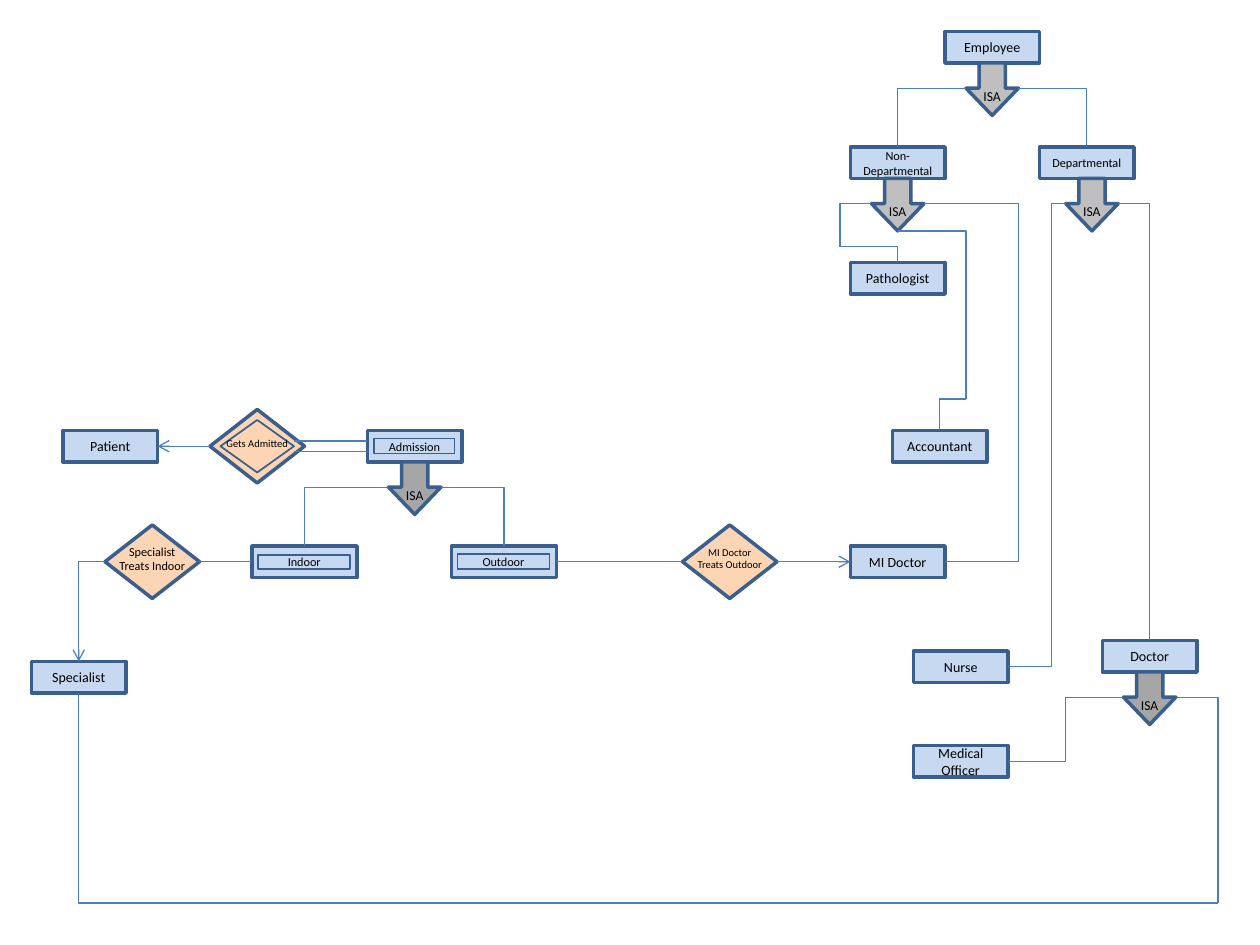
from dataclasses import dataclass

from lxml import etree
from pptx import Presentation
from pptx.dml.color import RGBColor
from pptx.enum.shapes import MSO_CONNECTOR, MSO_SHAPE
from pptx.enum.text import MSO_ANCHOR, PP_ALIGN
from pptx.oxml.ns import qn
from pptx.util import Pt

RECT, DIAMOND, ARROW = MSO_SHAPE.RECTANGLE, MSO_SHAPE.DIAMOND, MSO_SHAPE.DOWN_ARROW
STRAIGHT, ELBOW = MSO_CONNECTOR.STRAIGHT, MSO_CONNECTOR.ELBOW
CENTER = PP_ALIGN.CENTER
TOP, MIDDLE = MSO_ANCHOR.TOP, MSO_ANCHOR.MIDDLE

BLUE, PEACH, LIGHT, DARK = "C6D9F1", "FCD5B5", "BFBFBF", "A6A6A6"
OUTLINE, LINK = "3A5F8C", "4B7EBC"
BOX_W, BOX_H, DIAMOND_H, ISA = 54, 18, 42, 30
SHOULDER = 14.4
TIGHT = (0, 3.6, 0, 3.6)
PADDED = (7.2, 3.6, 7.2, 7.2)


@dataclass
class Node:
    text: str
    x: float
    y: float
    w: float = BOX_W
    h: float = BOX_H
    kind: int = RECT
    fill: str = BLUE
    weight: float = 2
    size: float = 8
    inset: tuple = (7.2, 3.6, 7.2, 3.6)
    wrap: bool = True
    anchor: int = MIDDLE


@dataclass
class Link:
    x1: float
    y1: float
    x2: float
    y2: float
    kind: int = ELBOW
    head: bool = False
    bend: float | None = None


def relation(text: str, x: float, y: float, size: float) -> Node:
    return Node(text, x, y, h=DIAMOND_H, kind=DIAMOND, fill=PEACH, size=size, inset=PADDED, wrap=False)


def isa(x: float, y: float, fill: str) -> Node:
    return Node("ISA", x, y, ISA, ISA, ARROW, fill, size=7.8,
                inset=(0, 14, 0, 0), wrap=False, anchor=TOP)


def rgb(value: str) -> RGBColor:
    return RGBColor.from_string(value)


def write(sp, text: str, *, size: float, inset: tuple, wrap: bool, anchor: int) -> None:
    tf = sp.text_frame
    tf.word_wrap = wrap
    tf.vertical_anchor = anchor
    tf.margin_left, tf.margin_top, tf.margin_right, tf.margin_bottom = map(Pt, inset)
    for i, line in enumerate(text.split("\n")):
        p = tf.add_paragraph() if i else tf.paragraphs[0]
        p.alignment = CENTER
        r = p.add_run()
        r.text = line
        r.font.name = "Calibri"
        r.font.size = Pt(size)
        r.font.color.rgb = rgb("000000")


def draw_node(slide, n: Node):
    sp = slide.shapes.add_shape(n.kind, Pt(n.x), Pt(n.y), Pt(n.w), Pt(n.h))
    sp.shadow.inherit = False
    sp.fill.solid()
    sp.fill.fore_color.rgb = rgb(n.fill)
    sp.line.color.rgb = rgb(OUTLINE)
    sp.line.width = Pt(n.weight)
    if n.kind == ARROW:
        sp.adjustments[1] = (ISA - SHOULDER) / ISA
    if n.text:
        write(sp, n.text, size=n.size, inset=n.inset, wrap=n.wrap, anchor=n.anchor)
    return sp


def draw_link(slide, k: Link):
    cx = slide.shapes.add_connector(k.kind, Pt(k.x1), Pt(k.y1), Pt(k.x2), Pt(k.y2))
    cx.line.color.rgb = rgb(LINK)
    cx.line.width = Pt(0.75)
    if k.head:
        etree.SubElement(cx.line._get_or_add_ln(), qn("a:tailEnd"), type="arrow")
    pr = cx._element.spPr
    etree.SubElement(pr, qn("a:effectLst"))
    if k.kind == ELBOW:
        geom = pr.find(qn("a:prstGeom"))
        if k.bend is None:
            geom.set("prst", "bentConnector2")
        else:
            guides = geom.find(qn("a:avLst"))
            etree.SubElement(guides, qn("a:gd"), name="adj1", fmla=f"val {round(k.bend * 100000)}")
    return cx


NODES = {
    "patient": Node("Patient", 36, 246),
    "admission": Node("", 210, 246),
    "admits": Node("", 120, 234, h=DIAMOND_H, kind=DIAMOND, fill=PEACH),
    "indoor": Node("", 144, 312, 60),
    "outdoor": Node("", 258, 312, 60),
    "treats_indoor": relation("Specialist\nTreats Indoor", 60, 300, 7),
    "specialist": Node("Specialist", 18, 378),
    "officer": Node("Medical Officer", 522, 426),
    "nurse": Node("Nurse", 522, 372),
    "treats_outdoor": relation("MI Doctor\nTreats Outdoor", 390, 300, 6),
    "mi_doctor": Node("MI Doctor", 486, 312),
    "accountant": Node("Accountant", 510, 246),
    "pathologist": Node("Pathologist", 486, 150),
    "employee": Node("Employee", 540, 18),
    "non_departmental": Node("Non-\nDepartmental", 486, 84, size=7, wrap=False),
    "departmental": Node("Departmental", 594, 84, size=7, inset=TIGHT),
    "doctor": Node("Doctor", 630, 366),
    "admission_isa": isa(222, 264, DARK),
    "employee_isa": isa(552, 36, LIGHT),
    "non_departmental_isa": isa(498, 102, LIGHT),
    "departmental_isa": isa(609, 102, LIGHT),
    "doctor_isa": isa(642, 384, DARK),
}

INNER = [
    Node("Gets Admitted", 126, 240, 42, 30, DIAMOND, PEACH, 1, 6, PADDED, False),
    Node("Admission", 213.8, 250.6, 46, 8.6, weight=1, size=7),
    Node("Indoor", 147.6, 317, 52.6, 8, weight=1, size=7),
    Node("Outdoor", 261.4, 316.8, 52.6, 8.4, weight=1, size=7),
]

LINKS = [
    Link(168, 252, 210, 252, STRAIGHT),
    Link(168, 258, 210, 258, STRAIGHT),
    Link(222, 278.4, 174, 312),
    Link(252, 278.4, 288, 312),
    Link(60, 321, 45, 378, head=True),
    Link(552, 50.4, 513, 84),
    Link(582, 50.4, 621, 84),
    Link(498, 116.4, 480, 141),
    Link(480, 141, 513, 150),
    Link(513, 132, 552, 228),
    Link(552, 228, 537, 246),
    Link(528, 116.4, 582, 321),
    Link(582, 321, 540, 321, STRAIGHT),
    Link(639, 116.4, 657, 366),
    Link(609, 116.4, 576, 381, bend=0.25),
    Link(642, 398.4, 576, 435, bend=0.5),
    Link(672, 398.4, 696, 516),
    Link(696, 516, 45, 396),
]

JOINS = [
    ("admits", 1, "patient", 3, True),
    ("treats_indoor", 3, "indoor", 1, False),
    ("outdoor", 3, "treats_outdoor", 1, False),
    ("treats_outdoor", 3, "mi_doctor", 1, True),
]


def main() -> None:
    prs = Presentation()
    prs.slide_width, prs.slide_height = Pt(720), Pt(540)
    slide = prs.slides.add_slide(prs.slide_layouts[6])
    shapes = {name: draw_node(slide, n) for name, n in NODES.items()}
    for k in LINKS:
        draw_link(slide, k)
    for start, start_side, end, end_side, head in JOINS:
        cx = draw_link(slide, Link(0, 0, 0, 0, STRAIGHT, head))
        cx.begin_connect(shapes[start], start_side)
        cx.end_connect(shapes[end], end_side)
    for n in INNER:
        draw_node(slide, n)
    prs.save("out.pptx")


if __name__ == "__main__":
    main()
